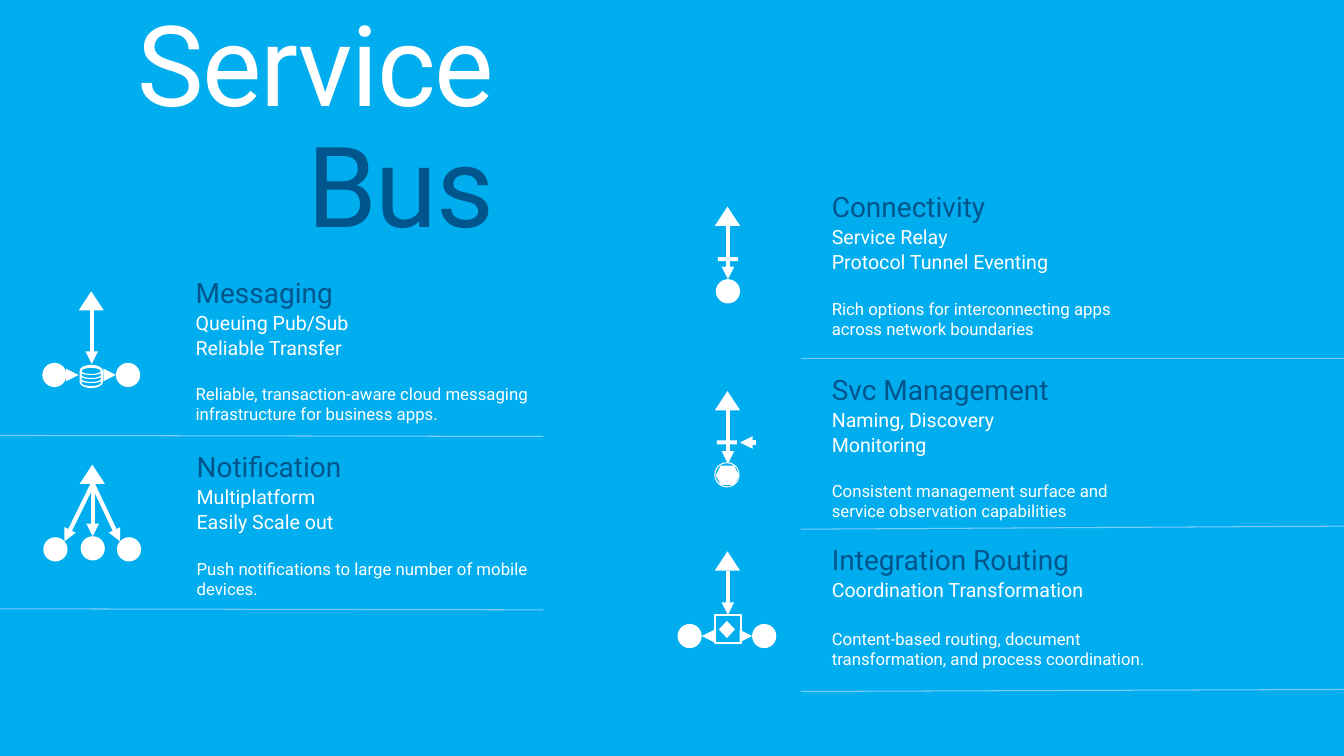
import math
from lxml import etree
from pptx import Presentation
from pptx import util as u
from pptx.dml import color
from pptx.enum import shapes, text
from pptx.oxml import ns

Inches = u.Inches
KIND = shapes.MSO_SHAPE
COLORS = {"sky": "00AEEF", "navy": "00558D", "white": "FFFFFF", "rule": "7ECCFF"}
RGB = {name: color.RGBColor.from_string(value) for name, value in COLORS.items()}

presentation = Presentation()
presentation.slide_width = Inches(13.33)
presentation.slide_height = Inches(7.5)
slide = presentation.slides.add_slide(presentation.slide_layouts[6])
slide.background.fill.solid()
slide.background.fill.fore_color.rgb = RGB["sky"]


def add_text(paragraphs, left, top, width, height, margin=0, spacing=1.0, gap=0, align="LEFT", tracking=0):
    frame = slide.shapes.add_textbox(Inches(left), Inches(top), Inches(width), Inches(height)).text_frame
    frame.word_wrap = True
    frame.margin_left = frame.margin_right = 0
    frame.margin_top = frame.margin_bottom = Inches(margin)
    for index, runs in enumerate(paragraphs):
        paragraph = frame.add_paragraph() if index else frame.paragraphs[0]
        paragraph.alignment = getattr(text.PP_ALIGN, align)
        paragraph.line_spacing = spacing
        paragraph.space_before = u.Pt(gap if index else 0)
        for position, (words, size, name) in enumerate(runs):
            if position:
                paragraph.add_line_break()
            run = paragraph.add_run()
            run.text = words
            run.font.name = "Roboto"
            run.font.size = u.Pt(size)
            run.font.color.rgb = RGB[name]
            if tracking:
                run.font._element.set("spc", str(tracking))


def add_mark(kind, left, top, width, height, fill="white", outline=0):
    shape = slide.shapes.add_shape(kind, Inches(left), Inches(top), Inches(width), Inches(height))
    shape.shadow.inherit = False
    if fill:
        shape.fill.solid()
        shape.fill.fore_color.rgb = RGB[fill]
    else:
        shape.fill.background()
    if outline:
        shape.line.color.rgb = RGB["white"]
        shape.line.width = u.Pt(outline)
    else:
        shape.line.fill.background()
    return shape


add_text([[("Service", 80, "white"), ("Bus", 80, "navy")]], 0.31, 0.1, 4.59, 2.42,
         spacing=0.9, align="RIGHT", tracking=-100)

router = add_mark(KIND.RECTANGLE, 7.09, 6.1, 0.26, 0.28, "sky", 1)
add_mark(KIND.DIAMOND, 7.13, 6.16, 0.16, 0.17)
add_mark(KIND.HEXAGON, 7.1, 4.62, 0.23, 0.19)
add_mark(KIND.OVAL, 7.09, 4.59, 0.24, 0.24, None, 0.75)
for bar_left, bar_top in [(7.12, 2.55), (7.11, 4.37)]:
    add_mark(KIND.RECTANGLE, bar_left, bar_top, 0.2, 0.04)
for node_left, node_top in [(7.1, 2.77), (6.72, 6.19), (7.46, 6.19), (0.42, 3.6), (1.15, 3.6),
                            (0.43, 5.33), (0.8, 5.32), (1.16, 5.33)]:
    add_mark(KIND.OVAL, node_left, node_top, 0.24, 0.24)

arrows = [
    (6.96, 6.31, 7.09, 6.31, None), (7.46, 6.31, 7.35, 6.31, None),
    (7.34, 4.39, 7.5, 4.39, None),
    (0.78, 3.72, 0.66, 3.72, None), (1.15, 3.72, 1.03, 3.72, None),
    (0.64, 5.37, 0.92, 4.8, None), (1.19, 5.37, 0.92, 4.8, None),
]

panels = [
    (8.25, 1.87, 1.09, 2.05, 2.77, None, "Connectivity", ["Service Relay", "Protocol Tunnel Eventing"],
     "Rich options for interconnecting apps across network boundaries"),
    (8.25, 3.68, 1.09, 3.88, 4.6, None, "Svc Management", ["Naming, Discovery", "Monitoring"],
     "Consistent management surface and service observation capabilities"),
    (8.25, 5.37, 0.87, 5.47, 6.1, router, "Integration Routing", ["Coordination Transformation"],
     "Content-based routing, document transformation, and process coordination."),
    (1.94, 2.72, 1.09, 2.89, 3.61, None, "Messaging", ["Queuing Pub/Sub", "Reliable Transfer"],
     "Reliable, transaction-aware cloud messaging infrastructure for business apps."),
    (1.95, 4.45, 1.09, 4.61, 5.32, None, "Notification", ["Multiplatform", "Easily Scale out"],
     "Push notifications to large number of mobile devices."),
]
for left, top, drop, peak, arrow_end, target, heading, features, description in panels:
    lines = [[(heading, 20, "navy")]] + [[(feature, 14, "white")] for feature in features]
    add_text(lines, left, top, 3.33, drop - 0.17, margin=0.05, spacing=0.9, gap=2.8)
    add_text([[(description, 12, "white")]], left, top + drop, 3.31, 0.4)
    center = left - 1.03
    add_mark(KIND.ISOSCELES_TRIANGLE, center - 0.13, peak, 0.25, 0.19)
    arrows.append((center, arrow_end, center, peak + 0.19, target))

rules = [(7.94, 3.56, 13.33, 3.56), (0, 4.32, 5.39, 4.33), (7.94, 5.25, 13.33, 5.22),
         (7.94, 6.86, 13.33, 6.84), (0, 6.04, 5.39, 6.05)]
strokes = [(*rule, None, "rule", 0.75, False) for rule in rules]
strokes += [(start_x, start_y, end_x, end_y, target, "white", 3, True)
            for end_x, end_y, start_x, start_y, target in arrows]
for start_x, start_y, end_x, end_y, target, name, weight, pointed in strokes:
    connector = slide.shapes.add_connector(
        shapes.MSO_CONNECTOR.STRAIGHT, Inches(start_x), Inches(start_y), Inches(end_x), Inches(end_y))
    connector.line.color.rgb = RGB[name]
    connector.line.width = u.Pt(weight)
    if pointed:
        etree.SubElement(connector.line._get_or_add_ln(), ns.qn("a:tailEnd"), type="triangle")
    etree.SubElement(connector._element.spPr, ns.qn("a:effectLst"))
    if target is not None:
        connector.end_connect(target, 0)

half_turn = [math.pi * step / 12 for step in range(13)]
database_layers = [(0.115, 3.68, -0.06, 3.79, 0.06), (0.095, 3.68, -0.03, 3.68, 0.03)]
database_layers += [(0.095, 3.7 + 0.04 * band, 0.02, 3.72 + 0.04 * band, 0.03) for band in range(3)]
builder = None
for radius, upper, upper_bend, lower, lower_bend in database_layers:
    outline = [(0.905 - radius * math.cos(angle), upper + upper_bend * math.sin(angle)) for angle in half_turn]
    outline += [(0.905 + radius * math.cos(angle), lower + lower_bend * math.sin(angle)) for angle in half_turn]
    points = [(Inches(x), Inches(y)) for x, y in outline]
    if builder is None:
        builder = slide.shapes.build_freeform(*points[0])
    else:
        builder.move_to(*points[0])
    builder.add_line_segments(points[1:], close=True)
database = builder.convert_to_shape()
database.shadow.inherit = False
database.fill.solid()
database.fill.fore_color.rgb = RGB["white"]
database.line.fill.background()

presentation.save("out.pptx")
